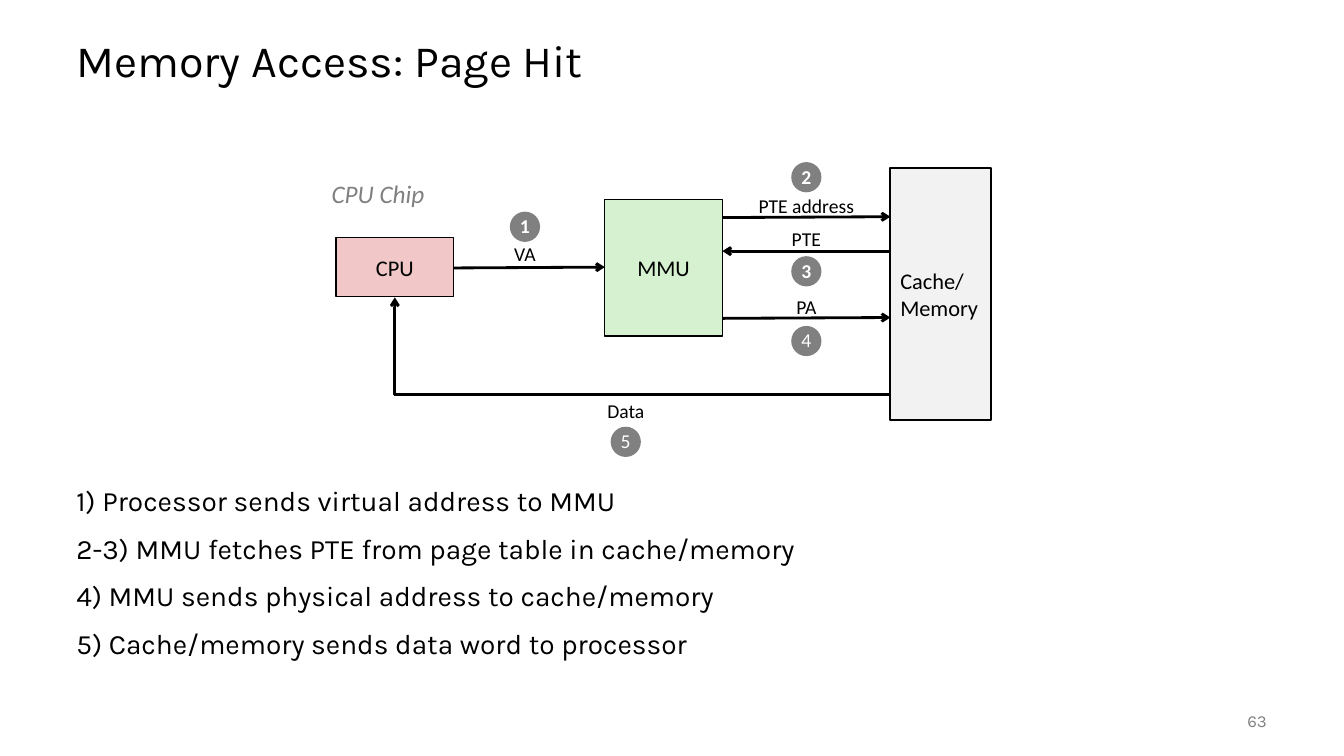
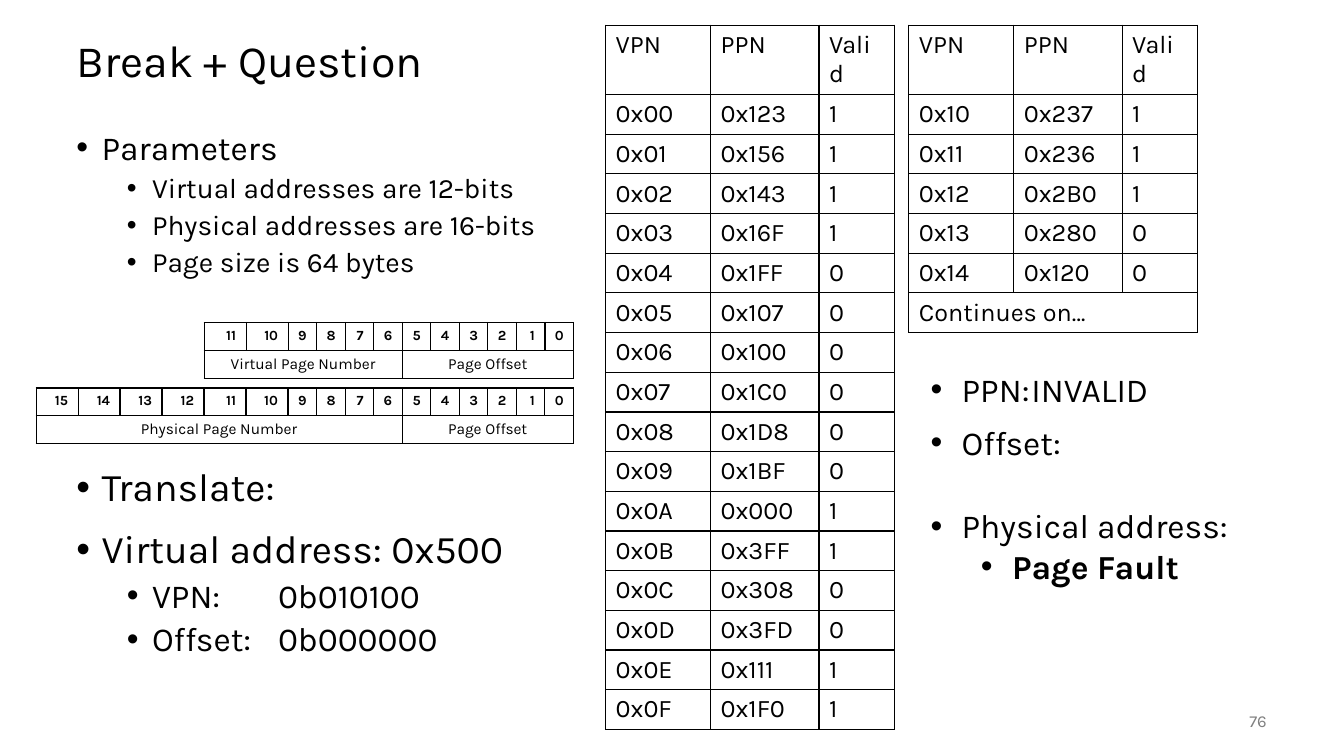
from dataclasses import dataclass
from typing import Optional, Sequence

from lxml.etree import SubElement
from pptx import Presentation
from pptx.dml.color import RGBColor
from pptx.enum.shapes import MSO_CONNECTOR, MSO_SHAPE
from pptx.enum.text import MSO_ANCHOR, MSO_AUTO_SIZE, PP_ALIGN
from pptx.oxml.ns import qn
from pptx.util import Emu, Pt

CELL = 76200
COLUMNS, ROWS = 160, 90
BLACK, WHITE, GRAY = "000000", "FFFFFF", "808080"
PINK, GREEN, PALE = "F1C7C7", "D5F1CF", "F2F2F2"
BODY_FONT, DIAGRAM_FONT = "Karla", "Calibri"
LEFT, CENTER, RIGHT = PP_ALIGN.LEFT, PP_ALIGN.CENTER, PP_ALIGN.RIGHT
TITLE_AREA = (7.9, 3, 144, 9)
NUMBER_AREA = (140, 83.4, 12, 4.8)
BADGE_SIZE = 3.6
LABEL_WIDTH, LABEL_HEIGHT = 14, 4
OFFSET_BITS = 6
WIDE_BIT, NARROW_BIT = 5, 3.4
BIT_ROW = 3.3
BITS_RIGHT = 68.3
PAGE_COLUMNS = (12.5, 12.9, 9)
PAGE_HEADER_ROW, PAGE_ROW = 8.2, 4.7


@dataclass(frozen=True)
class TextStyle:
    size: float
    font: str = BODY_FONT
    color: str = BLACK
    bold: bool = False
    italic: bool = False
    align: PP_ALIGN = LEFT
    spacing: float = 1.0


@dataclass(frozen=True)
class Item:
    text: str
    size: float
    level: int = 0
    before: float = 0
    tab: Optional[float] = None
    bold: bool = False


@dataclass(frozen=True)
class Block:
    text: str
    area: tuple
    fill: str
    outline: float = 1
    align: PP_ALIGN = CENTER


@dataclass(frozen=True)
class Arrow:
    start: tuple
    end: tuple


@dataclass(frozen=True)
class Step:
    number: str
    label: str
    column: float
    label_top: float
    badge_row: float
    bold: bool = False


@dataclass(frozen=True)
class AddressLayout:
    name: str
    bits: int
    top: float


@dataclass(frozen=True)
class PageTable:
    left: float
    entries: Sequence[tuple]
    closing: str = ""


TITLE = TextStyle(32, spacing=0.9)
NUMBER = TextStyle(12, color=GRAY, align=RIGHT)
LABEL = TextStyle(14, DIAGRAM_FONT, align=CENTER, spacing=0.98)
CHIP = TextStyle(18, DIAGRAM_FONT, GRAY, italic=True)
BIT = TextStyle(10, bold=True, align=RIGHT)
FIELD = TextStyle(11, align=CENTER)
ENTRY = TextStyle(18)

BLOCKS = (
    Block("MMU", (72, 23.75, 14, 16.25), GREEN),
    Block("Cache/\nMemory", (106, 20, 12, 30), PALE, 1.5, LEFT),
    Block("CPU", (40, 28.3, 14, 7), PINK),
)
ARROWS = (
    Arrow((54, 31.9), (72, 31.8)),
    Arrow((86, 25.9), (106, 25.8)),
    Arrow((106, 29.9), (86, 29.9)),
    Arrow((86, 37.9), (106, 37.8)),
)
STEPS = (
    Step("1", "VA", 62.5, 28.3, 27, True),
    Step("2", "PTE address", 96, 22.6, 21.1, True),
    Step("3", "PTE", 96, 26.5, 32.3, True),
    Step("4", "PA", 96, 34.6, 40.6),
    Step("5", "Data", 74.5, 47, 52.6),
)
HIT_ITEMS = tuple(
    Item(text, 20, before=12.5 if index else 0)
    for index, text in enumerate((
        "1) Processor sends virtual address to MMU",
        "2-3) MMU fetches PTE from page table in cache/memory",
        "4) MMU sends physical address to cache/memory",
        "5) Cache/memory sends data word to processor",
    ))
)
QUESTION_ITEMS = (
    Item("Parameters", 24),
    Item("Virtual addresses are 12-bits", 20, 1, 5),
    Item("Physical addresses are 16-bits", 20, 1, 5),
    Item("Page size is 64 bytes", 20, 1, 5),
    Item("Translate:", 28, before=135),
    Item("Virtual address: 0x500", 28, before=14),
    Item("VPN:\t0b010100", 24, 1, 5, 24),
    Item("Offset:\t0b000000", 24, 1, 5, 24),
)
ANSWER_ITEMS = (
    Item("PPN:\tINVALID", 24, tab=12),
    Item("Offset:", 24, before=9),
    Item("Physical address:", 24, before=31),
    Item("Page Fault", 24, 1, bold=True),
)
ADDRESS_LAYOUTS = (
    AddressLayout("Virtual Page Number", 12, 38.4),
    AddressLayout("Physical Page Number", 16, 46.2),
)
PAGE_TABLES = (
    PageTable(72.1, (
        ("0x00", "0x123", "1"), ("0x01", "0x156", "1"),
        ("0x02", "0x143", "1"), ("0x03", "0x16F", "1"),
        ("0x04", "0x1FF", "0"), ("0x05", "0x107", "0"),
        ("0x06", "0x100", "0"), ("0x07", "0x1C0", "0"),
        ("0x08", "0x1D8", "0"), ("0x09", "0x1BF", "0"),
        ("0x0A", "0x000", "1"), ("0x0B", "0x3FF", "1"),
        ("0x0C", "0x308", "0"), ("0x0D", "0x3FD", "0"),
        ("0x0E", "0x111", "1"), ("0x0F", "0x1F0", "1"),
    )),
    PageTable(108.2, (
        ("0x10", "0x237", "1"), ("0x11", "0x236", "1"),
        ("0x12", "0x2B0", "1"), ("0x13", "0x280", "0"),
        ("0x14", "0x120", "0"),
    ), "Continues on…"),
)


def cells(*counts: float) -> list:
    return [Emu(round(count * CELL)) for count in counts]


def paint(target, color: str) -> None:
    target.solid()
    target.fore_color.rgb = RGBColor.from_string(color)


def set_font(paragraph, style: TextStyle) -> None:
    paragraph.alignment = style.align
    paragraph.line_spacing = style.spacing
    font = paragraph.font
    font.name, font.size = style.font, Pt(style.size)
    font.bold, font.italic = style.bold, style.italic
    font.color.rgb = RGBColor.from_string(style.color)


def write(frame, text: str, style: TextStyle, wrap: bool = False) -> None:
    frame.text = text
    frame.word_wrap = wrap
    frame.auto_size = MSO_AUTO_SIZE.NONE
    frame.vertical_anchor = MSO_ANCHOR.MIDDLE
    for paragraph in frame.paragraphs:
        set_font(paragraph, style)


def write_list(frame, items: Sequence[Item], hanging: float, spacing: float) -> None:
    frame.word_wrap = True
    frame.auto_size = MSO_AUTO_SIZE.NONE
    frame.vertical_anchor = MSO_ANCHOR.TOP
    frame.text = "\n".join(item.text for item in items)
    for paragraph, item in zip(frame.paragraphs, items):
        paragraph.level = item.level
        paragraph.line_spacing = spacing
        paragraph.space_before = Pt(item.before)
        paragraph.space_after = Pt(0)
        properties = paragraph._p.get_or_add_pPr()
        indent = hanging + 6 * item.level if hanging else 0
        margin, first = cells(indent, -hanging)
        properties.set("marL", str(margin))
        properties.set("indent", str(first))
        if hanging:
            SubElement(properties, qn("a:buFont")).set("typeface", "Arial")
            SubElement(properties, qn("a:buChar")).set("char", "•")
        else:
            SubElement(properties, qn("a:buNone"))
        if item.tab:
            stops = SubElement(properties, qn("a:tabLst"))
            for position in cells(item.tab - indent, item.tab):
                stop = SubElement(stops, qn("a:tab"))
                stop.set("pos", str(position))
                stop.set("algn", "l")
        set_font(paragraph, TextStyle(item.size, bold=item.bold, spacing=spacing))


def add_text(page, area: tuple, text: str, style: TextStyle) -> None:
    write(page.shapes.add_textbox(*cells(*area)).text_frame, text, style)


def add_page(deck, title: str, number: str, area: tuple, items: Sequence[Item], hanging: float):
    page = deck.slides.add_slide(deck.slide_layouts[1])
    heading, body = page.shapes.title, page.placeholders[1]
    for box, place in ((heading, TITLE_AREA), (body, area)):
        box.left, box.top, box.width, box.height = cells(*place)
    write(heading.text_frame, title, TITLE, True)
    write_list(body.text_frame, items, hanging, 0.9)
    add_text(page, NUMBER_AREA, number, NUMBER)
    return page


def add_box(page, kind: MSO_SHAPE, area: tuple, fill: str, outline: float, text: str, style: TextStyle) -> None:
    box = page.shapes.add_shape(kind, *cells(*area))
    box.shadow.inherit = False
    paint(box.fill, fill)
    if outline:
        paint(box.line.fill, BLACK)
        box.line.width = Pt(outline)
    else:
        box.line.fill.background()
    write(box.text_frame, text, style)


def add_arrow(page, arrow: Arrow, kind: MSO_CONNECTOR = MSO_CONNECTOR.STRAIGHT):
    connector = page.shapes.add_connector(kind, *cells(*arrow.start, *arrow.end))
    paint(connector.line.fill, BLACK)
    connector.line.width = Pt(2)
    SubElement(connector.line._get_or_add_ln(), qn("a:tailEnd")).set("type", "arrow")
    SubElement(connector._element.spPr, qn("a:effectLst"))
    return connector


def add_return_arrow(page) -> None:
    connector = add_arrow(page, Arrow((47, 35.4), (106, 47)), MSO_CONNECTOR.ELBOW)
    properties = connector._element.spPr
    properties.find(qn("a:xfrm")).set("rot", "10800000")
    properties.find(qn("a:prstGeom")).set("prst", "bentConnector2")


def add_grid(page, left: float, top: float, widths: Sequence[float], heights: Sequence[float]):
    place = cells(left, top, sum(widths), sum(heights))
    table = page.shapes.add_table(len(heights), len(widths), *place).table
    table.first_row = table.horz_banding = False
    for column, width in zip(table.columns, cells(*widths)):
        column.width = width
    for row, height in zip(table.rows, cells(*heights)):
        row.height = height
    for cell in table.iter_cells():
        properties = cell._tc.get_or_add_tcPr()
        for side in ("a:lnL", "a:lnR", "a:lnT", "a:lnB"):
            border = SubElement(properties, qn(side))
            border.set("w", str(Pt(1)))
            color = SubElement(SubElement(border, qn("a:solidFill")), qn("a:srgbClr"))
            color.set("val", BLACK)
        cell.fill.background()
    return table


def fill_cell(cell, text: str, style: TextStyle) -> None:
    cell.text = text
    set_font(cell.text_frame.paragraphs[0], style)


def add_address_layout(page, layout: AddressLayout) -> None:
    bits = range(layout.bits - 1, -1, -1)
    widths = [WIDE_BIT if bit > 9 else NARROW_BIT for bit in bits]
    table = add_grid(page, BITS_RIGHT - sum(widths), layout.top, widths, [BIT_ROW] * 2)
    for column, bit in enumerate(bits):
        fill_cell(table.cell(0, column), str(bit), BIT)
    split = layout.bits - OFFSET_BITS
    for name, first, last in ((layout.name, 0, split - 1), ("Page Offset", split, layout.bits - 1)):
        table.cell(1, first).merge(table.cell(1, last))
        fill_cell(table.cell(1, first), name, FIELD)


def add_page_table(page, pages: PageTable) -> None:
    rows = [("VPN", "PPN", "Valid"), *pages.entries]
    if pages.closing:
        rows.append((pages.closing,))
    heights = [PAGE_HEADER_ROW] + [PAGE_ROW] * (len(rows) - 1)
    table = add_grid(page, pages.left, 3, PAGE_COLUMNS, heights)
    for index, row in enumerate(rows):
        if len(row) == 1:
            table.cell(index, 0).merge(table.cell(index, 2))
        for column, text in enumerate(row):
            fill_cell(table.cell(index, column), text, ENTRY)


def build_page_hit(deck) -> None:
    page = add_page(deck, "Memory Access: Page Hit", "63", (7.9, 57.4, 144, 23.6), HIT_ITEMS, 0)
    for block in BLOCKS:
        style = TextStyle(16, DIAGRAM_FONT, align=block.align)
        add_box(page, MSO_SHAPE.RECTANGLE, block.area, block.fill, block.outline, block.text, style)
    add_text(page, (38.3, 20.6, 13.9, 4.8), "CPU Chip", CHIP)
    for arrow in ARROWS:
        add_arrow(page, arrow)
    add_return_arrow(page)
    for step in STEPS:
        add_text(page, (step.column - LABEL_WIDTH / 2, step.label_top, LABEL_WIDTH, LABEL_HEIGHT), step.label, LABEL)
        area = (step.column - BADGE_SIZE / 2, step.badge_row - BADGE_SIZE / 2, BADGE_SIZE, BADGE_SIZE)
        style = TextStyle(14, DIAGRAM_FONT, WHITE, step.bold, align=CENTER, spacing=0.98)
        add_box(page, MSO_SHAPE.OVAL, area, GRAY, 0, step.number, style)


def build_question(deck) -> None:
    page = add_page(deck, "Break + Question", "76", (7.9, 15, 144, 66), QUESTION_ITEMS, 3)
    for layout in ADDRESS_LAYOUTS:
        add_address_layout(page, layout)
    for pages in PAGE_TABLES:
        add_page_table(page, pages)
    answers = page.shapes.add_textbox(*cells(109.6, 43.3, 45.7, 27.1))
    write_list(answers.text_frame, ANSWER_ITEMS, 3.7, 1.0)


def main() -> None:
    deck = Presentation()
    deck.slide_width, deck.slide_height = cells(COLUMNS, ROWS)
    build_page_hit(deck)
    build_question(deck)
    deck.save("out.pptx")


if __name__ == "__main__":
    main()
